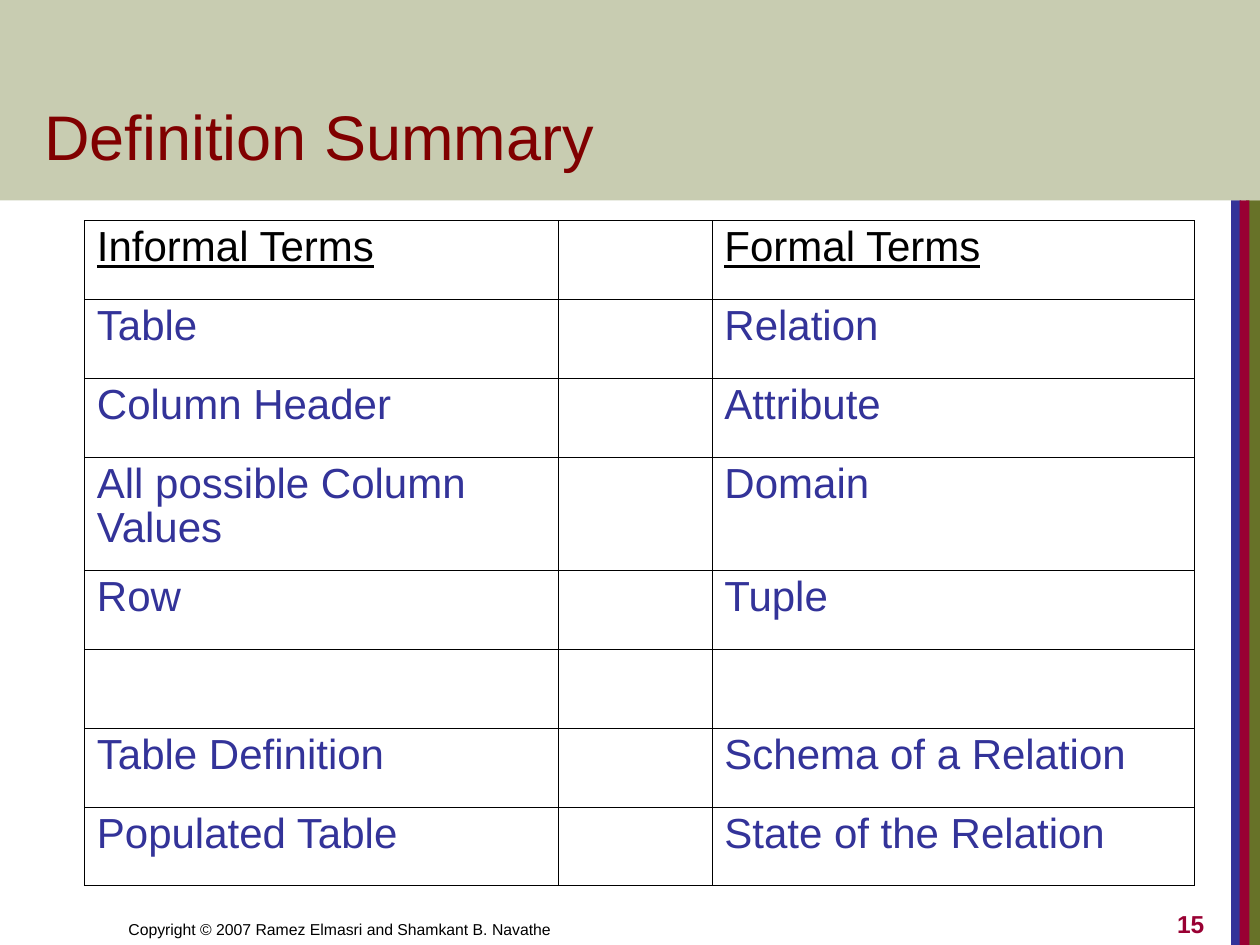
"""Build the Definition Summary slide with its table of informal and formal terms."""
from dataclasses import dataclass

from lxml import etree
from pptx import Presentation
from pptx.dml.color import RGBColor
from pptx.enum.shapes import MSO_SHAPE
from pptx.enum.text import MSO_ANCHOR, MSO_AUTO_SIZE, PP_ALIGN
from pptx.oxml.ns import qn
from pptx.util import Cm, Pt

RECTANGLE = MSO_SHAPE.RECTANGLE
BOTTOM = MSO_ANCHOR.BOTTOM
NO_FIT = MSO_AUTO_SIZE.NONE
LEFT, RIGHT = PP_ALIGN.LEFT, PP_ALIGN.RIGHT

BLACK = RGBColor(0x00, 0x00, 0x00)
MAROON = RGBColor(0x80, 0x00, 0x00)
CRIMSON = RGBColor(0x99, 0x00, 0x33)
INDIGO = RGBColor(0x33, 0x33, 0x99)
OLIVE = RGBColor(0x67, 0x72, 0x28)

BAND_HEIGHT = 4.04
OUTER_LINE, INNER_LINE = Pt(0.5), Pt(0.23)
COLUMN_WIDTHS = (9.55, 3.1, 9.73)
ROW_HEIGHTS = (1.59, 1.59, 1.59, 2.28, 1.59, 1.59, 1.59, 1.58)
TERMS = (
    ("Informal Terms", "Formal Terms"),
    ("Table", "Relation"),
    ("Column Header", "Attribute"),
    ("All possible Column Values", "Domain"),
    ("Row", "Tuple"),
    ("", ""),
    ("Table Definition", "Schema of a Relation"),
    ("Populated Table", "State of the Relation"),
)


@dataclass(frozen=True)
class Area:
    left: float
    top: float
    width: float
    height: float

    def lengths(self) -> tuple:
        return Cm(self.left), Cm(self.top), Cm(self.width), Cm(self.height)


@dataclass(frozen=True)
class Block:
    area: Area
    color: RGBColor
    opacity: int = 100


@dataclass(frozen=True)
class Label:
    area: Area
    text: str
    size: float
    color: RGBColor
    bold: bool = False
    alignment: PP_ALIGN = LEFT


BLOCKS = (
    Block(Area(25.12, BAND_HEIGHT, 0.28, 15.01), OLIVE),
    Block(Area(24.82, BAND_HEIGHT, 0.2, 15.01), INDIGO),
    Block(Area(24.99, BAND_HEIGHT, 0.2, 15.01), CRIMSON),
    Block(Area(0, 0, 25.4, BAND_HEIGHT), OLIVE, 36),
)
TITLE = Label(Area(0.64, 0.84, 21.67, 2.77), "Definition Summary", 36, MAROON)
FOOTERS = (
    Label(Area(2.34, 17.78, 12.5, 1.27),
          "Copyright © 2007 Ramez Elmasri and Shamkant B. Navathe", 9, BLACK),
    Label(Area(19.25, 17.78, 5.28, 1.27), "15", 14, CRIMSON, True, RIGHT),
)
TABLE_AREA = Area(1.7, 4.45, sum(COLUMN_WIDTHS), sum(ROW_HEIGHTS))


def set_attributes(target, values: dict) -> None:
    for name, value in values.items():
        setattr(target, name, value)


def write_text(para, text: str, color: RGBColor, **values) -> None:
    span = para.add_run()
    span.text = text
    set_attributes(span.font, {"name": "Arial", **values})
    span.font.color.rgb = color


def draw_block(page, block: Block) -> None:
    box = page.shapes.add_shape(RECTANGLE, *block.area.lengths())
    box.shadow.inherit = False
    box.line.fill.background()
    box.fill.solid()
    box.fill.fore_color.rgb = block.color
    if block.opacity < 100:
        color = box.fill._xPr.find(qn("a:solidFill"))[0]
        etree.SubElement(color, qn("a:alpha"), val=str(block.opacity * 1000))


def fill_label(box, label: Label) -> None:
    left, top, width, height = label.area.lengths()
    set_attributes(box, {"left": left, "top": top, "width": width, "height": height})
    frame = box.text_frame
    set_attributes(frame, {"word_wrap": True, "auto_size": NO_FIT,
                           "vertical_anchor": BOTTOM})
    para = frame.paragraphs[0]
    para.alignment = label.alignment
    write_text(para, label.text, label.color, size=Pt(label.size), bold=label.bold)


def draw_borders(cell, outer_sides: dict) -> None:
    properties = cell._tc.get_or_add_tcPr()
    for side, is_outer in outer_sides.items():
        width = OUTER_LINE if is_outer else INNER_LINE
        line = etree.SubElement(properties, qn(f"a:ln{side}"), w=str(int(width)))
        fill = etree.SubElement(line, qn("a:solidFill"))
        etree.SubElement(fill, qn("a:srgbClr"), val=str(BLACK))


def draw_table(page) -> None:
    row_count, column_count = len(ROW_HEIGHTS), len(COLUMN_WIDTHS)
    frame = page.shapes.add_table(row_count, column_count, *TABLE_AREA.lengths())
    table = frame.table
    set_attributes(table, {"first_row": False, "horz_banding": False})
    for column, width in zip(table.columns, COLUMN_WIDTHS):
        column.width = Cm(width)
    for row_index, (informal, formal) in enumerate(TERMS):
        row = table.rows[row_index]
        row.height = Cm(ROW_HEIGHTS[row_index])
        is_header = row_index == 0
        for column_index, text in enumerate((informal, "", formal)):
            cell = row.cells[column_index]
            draw_borders(cell, {"L": column_index == 0,
                                "R": column_index == column_count - 1,
                                "T": is_header,
                                "B": row_index == row_count - 1})
            cell.fill.background()
            if text:
                para = cell.text_frame.paragraphs[0]
                set_attributes(para, {"line_spacing": 0.93, "space_before": Pt(6)})
                write_text(para, text, BLACK if is_header else INDIGO,
                           size=Pt(24), underline=is_header)


def main() -> None:
    deck = Presentation()
    set_attributes(deck, {"slide_width": Cm(25.4), "slide_height": Cm(19.05)})
    page = deck.slides.add_slide(deck.slide_layouts.get_by_name("Title Only"))
    for block in BLOCKS:
        draw_block(page, block)
    title = page.shapes.title
    page.shapes._spTree.append(title._element)
    fill_label(title, TITLE)
    draw_table(page)
    for label in FOOTERS:
        fill_label(page.shapes.add_textbox(*label.area.lengths()), label)
    deck.save("out.pptx")


if __name__ == "__main__":
    main()
